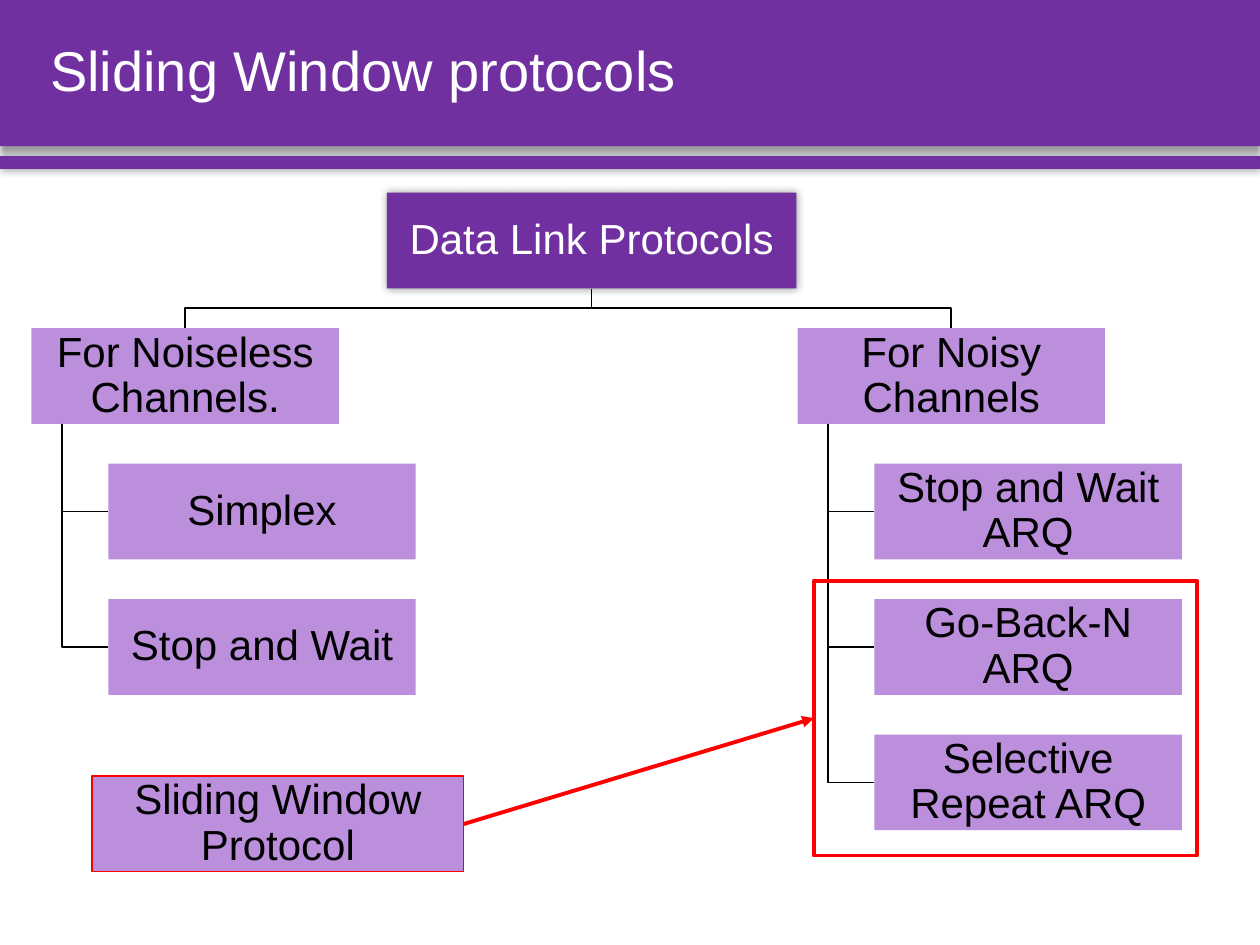
from lxml.etree import SubElement
from pptx import Presentation
from pptx.dml.color import RGBColor as Rgb
from pptx.enum.shapes import MSO_CONNECTOR as Link, MSO_SHAPE as Shape
from pptx.enum.text import MSO_ANCHOR as Anchor, PP_ALIGN as Align
from pptx.oxml.ns import qn
from pptx.util import Inches, Pt

COLORS = {"main": "7030A0", "node": "BC8FDD", "mark": "FF0000",
          "dark": "000000", "light": "FFFFFF"}

# Tree grid in inches: each level starts one pitch below the last
NODE_W, NODE_H = 2.44, 0.76
TREE_TOP, PITCH = 1.53, 1.075
INDENT, TRUNK = NODE_W / 4, NODE_W / 10

BRANCHES = [
    (0.25, "For Noiseless Channels.", ["Simplex", "Stop and Wait"]),
    (6.33, "For Noisy Channels",
     ["Stop and Wait ARQ", "Go-Back-N ARQ", "Selective Repeat ARQ"]),
]


def color(name):
    return Rgb.from_string(COLORS[name])


def set_line(shape, name, width):
    shape.line.color.rgb = color(name)
    shape.line.width = Pt(width)


def add_shadow(shape, blur, dist=0, angle=0):
    effects = SubElement(shape.element.spPr, qn("a:effectLst"))
    shadow = SubElement(effects, qn("a:outerShdw"), blurRad=str(Pt(blur)),
                        dist=str(Pt(dist)), dir=str(angle * 60000),
                        algn="ctr", rotWithShape="0")
    tone = SubElement(shadow, qn("a:srgbClr"), val=COLORS["dark"])
    SubElement(tone, qn("a:alpha"), val="40000")


def add_rect(page, box, fill=None, shadow=None):
    shape = page.shapes.add_shape(Shape.RECTANGLE, *map(Inches, box))
    if fill:
        shape.fill.solid()
        shape.fill.fore_color.rgb = color(fill)
    else:
        shape.fill.background()
    shape.line.fill.background()
    if shadow:
        add_shadow(shape, *shadow)
    else:
        shape.shadow.inherit = False
    return shape


def write(shape, text, size, ink, align, margin):
    frame = shape.text_frame
    formats = {"word_wrap": True, "vertical_anchor": Anchor.MIDDLE}
    for side in ("left", "right", "top", "bottom"):
        formats["margin_" + side] = Inches(margin)
    for key, value in formats.items():
        setattr(frame, key, value)
    para = frame.paragraphs[0]
    para.alignment, para.line_spacing = align, 0.9
    span = para.add_run()
    span.text = text
    for key, value in {"name": "Arial", "size": Pt(size)}.items():
        setattr(span.font, key, value)
    span.font.color.rgb = color(ink)


def add_node(page, box, text, fill="node", ink="dark", shadow=None):
    node = add_rect(page, box, fill, shadow)
    write(node, text, 24, ink, Align.CENTER, 0.02)
    return node


def add_elbow(page, *points):
    first, *rest = [(Inches(x), Inches(y)) for x, y in points]
    builder = page.shapes.build_freeform(*first)
    builder.add_line_segments(rest, close=False)
    elbow = builder.convert_to_shape()
    elbow.fill.background()
    elbow.shadow.inherit = False
    set_line(elbow, "dark", 1)


def add_header(page, box):
    left, top, width, height = box
    add_rect(page, box, "main", (4, 3, 90))
    add_rect(page, (left, top + height + 0.08, width, 0.1), "main", (5,))
    title = page.shapes.add_textbox(
        *map(Inches, (left + 0.3, top, width - 0.54, height)))
    write(title, "Sliding Window protocols", 32, "light", Align.LEFT, 0.1)


def add_branch(page, box, head, leaves):
    left, top, width, height = box
    trunk, leaf_left = left + TRUNK, left + INDENT
    add_node(page, box, head)
    for level, leaf in enumerate(leaves, 1):
        leaf_top = top + level * PITCH
        middle = leaf_top + height / 2
        add_elbow(page, (trunk, top + height), (trunk, middle),
                  (leaf_left, middle))
        add_node(page, (leaf_left, leaf_top, width, height), leaf)


def add_tree(page, root_box):
    left, top, width, height = root_box
    center, bottom = left + width / 2, top + height
    branch_top = top + PITCH
    bend = (bottom + branch_top) / 2
    for branch_left, head, leaves in BRANCHES:
        middle = branch_left + NODE_W / 2
        add_elbow(page, (center, bottom), (center, bend), (middle, bend),
                  (middle, branch_top))
        add_branch(page, (branch_left, branch_top, NODE_W, NODE_H),
                   head, leaves)
    add_node(page, root_box, "Data Link Protocols", "main", "light", (5,))


def add_callout(page, label_box, frame_box):
    label = add_node(page, label_box, "Sliding Window Protocol")
    set_line(label, "mark", 0.75)
    frame = add_rect(page, frame_box)
    set_line(frame, "mark", 2.25)
    # Arrow from the label to the framed protocols
    arrow = page.shapes.add_connector(Link.STRAIGHT, 0, 0, 0, 0)
    arrow.begin_connect(label, 3)
    arrow.end_connect(frame, 1)
    set_line(arrow, "mark", 2.25)
    SubElement(arrow.line._get_or_add_ln(), qn("a:tailEnd"), type="triangle")
    SubElement(arrow.element.spPr, qn("a:effectLst"))


def main():
    deck = Presentation()
    deck.slide_width, deck.slide_height = Inches(10), Inches(7.5)
    page = deck.slides.add_slide(deck.slide_layouts[6])
    add_header(page, (0, 0, 10, 1.16))
    add_tree(page, (3.07, TREE_TOP, 3.25, NODE_H))
    add_callout(page, (0.73, 6.16, 2.95, NODE_H), (6.46, 4.61, 3.04, 2.18))
    deck.save("out.pptx")


if __name__ == "__main__":
    main()
